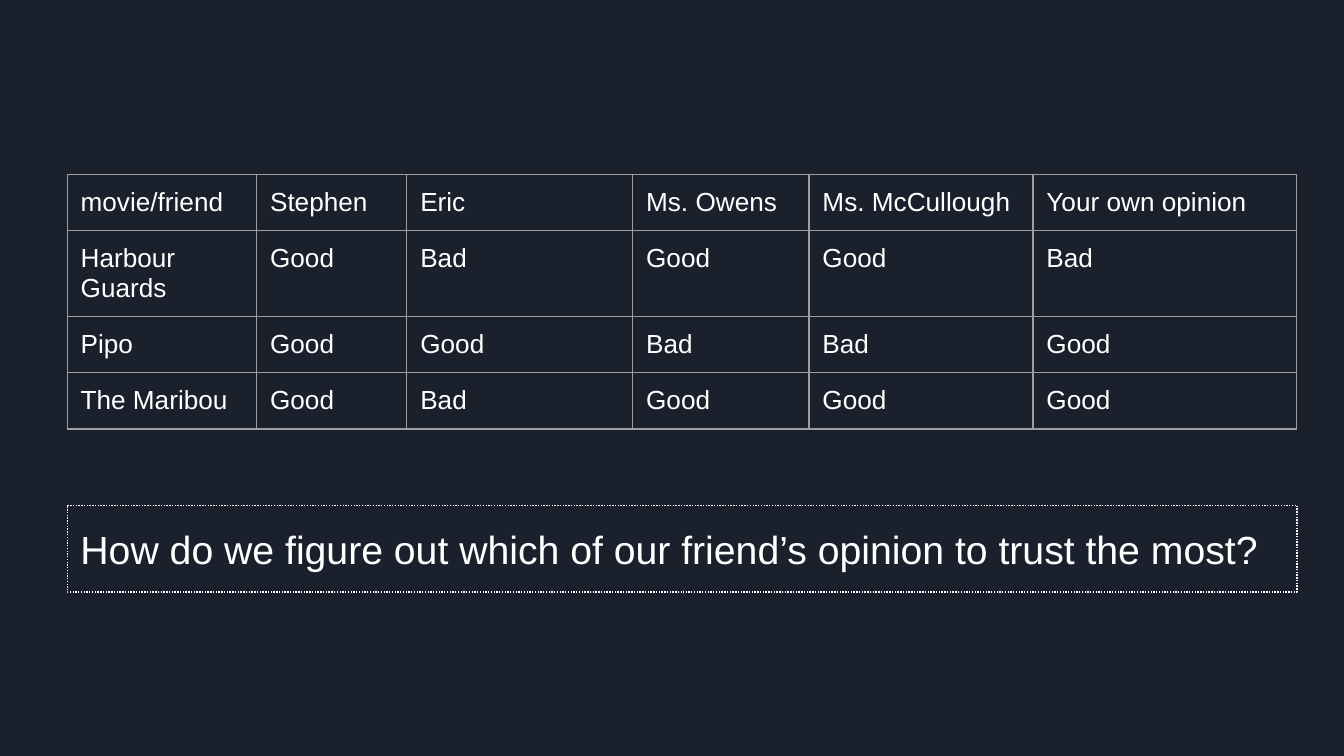
import pptx
import pptx.dml.color
import pptx.enum.dml
import pptx.enum.shapes
import pptx.enum.text
import pptx.oxml
import pptx.oxml.ns
import pptx.util

Pt = pptx.util.Pt
NIGHT = pptx.dml.color.RGBColor(0x1B, 0x21, 0x2C)
WHITE = pptx.dml.color.RGBColor(0xFF, 0xFF, 0xFF)
GREY = pptx.dml.color.RGBColor(0x9E, 0x9E, 0x9E)

OPINIONS = [
    ["movie/friend", "Stephen", "Eric", "Ms. Owens", "Ms. McCullough", "Your own opinion"],
    ["Harbour Guards", "Good", "Bad", "Good", "Good", "Bad"],
    ["Pipo", "Good", "Good", "Bad", "Bad", "Good"],
    ["The Maribou", "Good", "Bad", "Good", "Good", "Good"],
]
COLUMN_WIDTHS = [101.5, 80.5, 121, 94.5, 120, 141.3]
ROW_HEIGHT = 30
LEFT = 36


class OpinionPage:
    font_name = "Arial"
    inset = Pt(7.2)
    line_width = Pt(0.75)

    def __init__(self, deck):
        self.page = deck.slides.add_slide(deck.slide_layouts[6])
        background = self.page.background.fill
        background.solid()
        background.fore_color.rgb = NIGHT

    def apply(self, target, values):
        for name, value in values.items():
            setattr(target, name, value)

    def label(self, frame, text, size):
        para = frame.paragraphs[0]
        para.alignment = pptx.enum.text.PP_ALIGN.LEFT
        span = para.add_run()
        span.text = text
        self.apply(span.font, {"name": self.font_name, "size": Pt(size), "bold": False})
        span.font.color.rgb = WHITE

    def margins(self, target):
        sides = ("left", "top", "right", "bottom")
        self.apply(target, {f"margin_{side}": self.inset for side in sides})

    def border(self, cell):
        properties = cell._tc.get_or_add_tcPr()
        namespace = pptx.oxml.ns.nsdecls("a")
        for position, edge in enumerate(("lnL", "lnR", "lnT", "lnB")):
            line = pptx.oxml.parse_xml(
                f'<a:{edge} {namespace} w="{self.line_width}"><a:solidFill>'
                f'<a:srgbClr val="{GREY}"/></a:solidFill></a:{edge}>'
            )
            properties.insert(position, line)

    def table(self, left, top, widths, row_height, rows, size):
        frame = self.page.shapes.add_table(
            len(rows), len(widths), Pt(left), Pt(top),
            Pt(sum(widths)), Pt(row_height * len(rows)),
        )
        grid = frame.table
        self.apply(grid, {"first_row": False, "horz_banding": False})
        for column, width in zip(grid.columns, widths):
            column.width = Pt(width)
        for row, texts in zip(grid.rows, rows):
            row.height = Pt(row_height)
            for cell, text in zip(row.cells, texts):
                cell.fill.background()
                self.margins(cell)
                self.border(cell)
                self.label(cell.text_frame, text, size)

    def dotted_box(self, left, top, width, height, text, size):
        box = self.page.shapes.add_shape(
            pptx.enum.shapes.MSO_SHAPE.RECTANGLE, Pt(left), Pt(top), Pt(width), Pt(height)
        )
        box.shadow.inherit = False
        box.fill.background()
        box.line.color.rgb = WHITE
        self.apply(box.line, {
            "width": self.line_width,
            "dash_style": pptx.enum.dml.MSO_LINE.ROUND_DOT,
        })
        frame = box.text_frame
        self.apply(frame, {
            "word_wrap": True,
            "vertical_anchor": pptx.enum.text.MSO_ANCHOR.MIDDLE,
        })
        self.margins(frame)
        self.label(frame, text, size)


def main():
    deck = pptx.Presentation()
    deck.slide_width, deck.slide_height = Pt(720), Pt(405)
    page = OpinionPage(deck)
    page.table(LEFT, 93.5, COLUMN_WIDTHS, ROW_HEIGHT, OPINIONS, 14)
    page.dotted_box(
        LEFT, 270.7, sum(COLUMN_WIDTHS), 46.4,
        "How do we figure out which of our friend’s opinion to trust the most?", 21,
    )
    deck.save("out.pptx")


if __name__ == "__main__":
    main()
